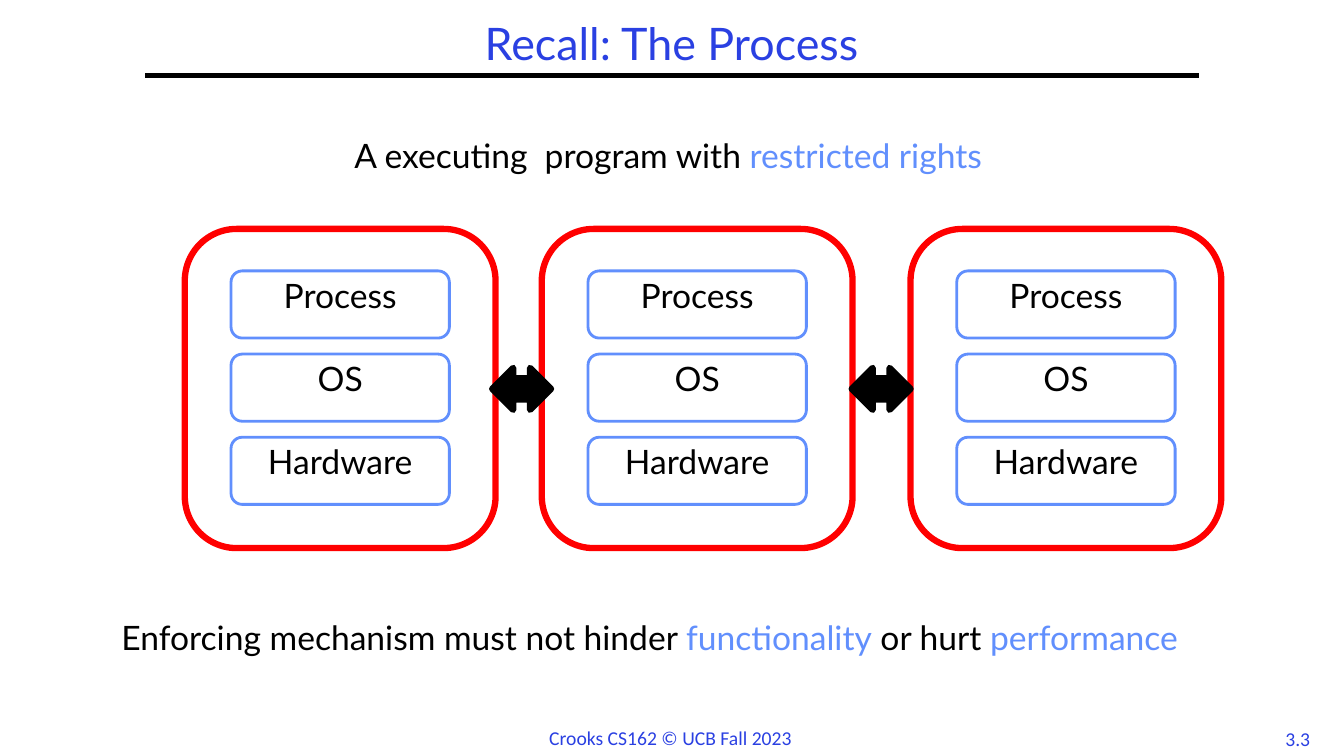
from dataclasses import dataclass

from lxml.etree import SubElement
from pptx import Presentation
from pptx.dml.color import RGBColor
from pptx.enum.shapes import MSO_CONNECTOR, MSO_SHAPE
from pptx.enum.text import MSO_ANCHOR as Anchor, MSO_AUTO_SIZE as AutoSize, PP_ALIGN as Align
from pptx.oxml.ns import qn
from pptx.util import Pt

CELL = Pt(6)  # the slide is a grid of 160 columns by 90 rows
COLUMNS, ROWS = 160, 90
COLORS = {"paper": "FFFFFF", "ink": "000000", "title": "2A40E2", "accent": "618FFD", "machine": "FF0000"}

LAYERS = ("Process", "OS", "Hardware")
MACHINE_COLUMNS = (22, 64.5, 108.4)
ARROW_COLUMNS = (58.6, 101.4)
MACHINE_ROW = 27.25
LAYER_INSET = 5.5
LAYER_ROW, LAYER_STEP = 32.25, 9.9


@dataclass(frozen=True)
class Area:
    """A place on the slide, in grid columns and rows."""
    column: float
    row: float
    columns: float
    rows: float

    def lengths(self) -> list[int]:
        return [round(n * CELL) for n in (self.column, self.row, self.columns, self.rows)]


@dataclass(frozen=True)
class Span:
    text: str
    color: str = "ink"


def rgb(name: str) -> RGBColor:
    return RGBColor.from_string(COLORS[name])


def write(shape, *spans: Span, size: float = 24, font: str = "Lato", align=Align.CENTER,
          anchor=Anchor.TOP, spacing: float = 0.9, wrap: bool = True) -> None:
    frame = shape.text_frame
    frame.auto_size = AutoSize.NONE
    frame.word_wrap = wrap
    frame.vertical_anchor = anchor
    paragraph = frame.paragraphs[0]
    paragraph.alignment = align
    paragraph.line_spacing = spacing
    paragraph.space_before = Pt(0)
    for span in spans:
        run = paragraph.add_run()
        run.text = span.text
        run.font.size = Pt(size)
        run.font.name = font
        run.font.color.rgb = rgb(span.color)


def place(shape, area: Area) -> None:
    shape.left, shape.top, shape.width, shape.height = area.lengths()


def remove_bullet(shape) -> None:
    properties = shape.text_frame.paragraphs[0]._p.get_or_add_pPr()
    properties.set("marL", "0")
    properties.set("indent", "0")
    SubElement(properties, qn("a:buNone"))


def add_figure(slide, kind, area: Area, fill: str, line: str, width: float):
    figure = slide.shapes.add_shape(kind, *area.lengths())
    figure.shadow.inherit = False
    figure.fill.solid()
    figure.fill.fore_color.rgb = rgb(fill)
    figure.line.color.rgb = rgb(line)
    figure.line.width = Pt(width)
    return figure


def add_machine(slide, column: float) -> None:
    """Draw a red panel holding the stack of layers."""
    add_figure(slide, MSO_SHAPE.ROUNDED_RECTANGLE, Area(column, MACHINE_ROW, 37, 38),
               "paper", "machine", 4.5)
    for index, layer in enumerate(LAYERS):
        area = Area(column + LAYER_INSET, LAYER_ROW + index * LAYER_STEP, 26, 8)
        box = add_figure(slide, MSO_SHAPE.ROUNDED_RECTANGLE, area, "paper", "accent", 2)
        write(box, Span(layer))


def add_title_rule(slide) -> None:
    start, end, row = (round(n * CELL) for n in (17.3, 142.7, 9))
    rule = slide.shapes.add_connector(MSO_CONNECTOR.STRAIGHT, start, row, end, row)
    rule.line.color.rgb = rgb("ink")
    rule.line.width = Pt(3)
    SubElement(rule._element.spPr, qn("a:effectLst"))


def add_text(slide, area: Area, *spans: Span, **style) -> None:
    write(slide.shapes.add_textbox(*area.lengths()), *spans, **style)


def main() -> None:
    deck = Presentation()
    deck.slide_width, deck.slide_height = COLUMNS * CELL, ROWS * CELL
    slide = deck.slides.add_slide(deck.slide_layouts[1])

    title, definition = slide.placeholders
    place(title, Area(17.3, 2, 125.3, 7))
    write(title, Span("Recall: The Process", "title"), size=32, anchor=Anchor.MIDDLE)
    place(definition, Area(10.7, 16, 138.7, 63))
    remove_bullet(definition)
    write(definition, Span("A executing  program with "), Span("restricted rights ", "accent"))

    add_title_rule(slide)
    footer_style = dict(size=14, font="Calibri", spacing=1, wrap=False)
    add_text(slide, Area(64.2, 85.8, 31.6, 4.1), Span("Crooks CS162 © UCB Fall 2023", "title"),
             align=Align.LEFT, **footer_style)
    add_text(slide, Area(151, 85.9, 7, 4), Span("3.3", "title"), **footer_style)
    add_text(slide, Area(8, 73.4, 138.7, 11),
             Span("Enforcing mechanism must not hinder "), Span("functionality", "accent"),
             Span(" or hurt "), Span("performance", "accent"))

    for column in MACHINE_COLUMNS:
        add_machine(slide, column)
    for column in ARROW_COLUMNS:
        add_figure(slide, MSO_SHAPE.LEFT_RIGHT_ARROW, Area(column, 43.8, 7, 5), "ink", "ink", 4.5)

    deck.save("out.pptx")


if __name__ == "__main__":
    main()
